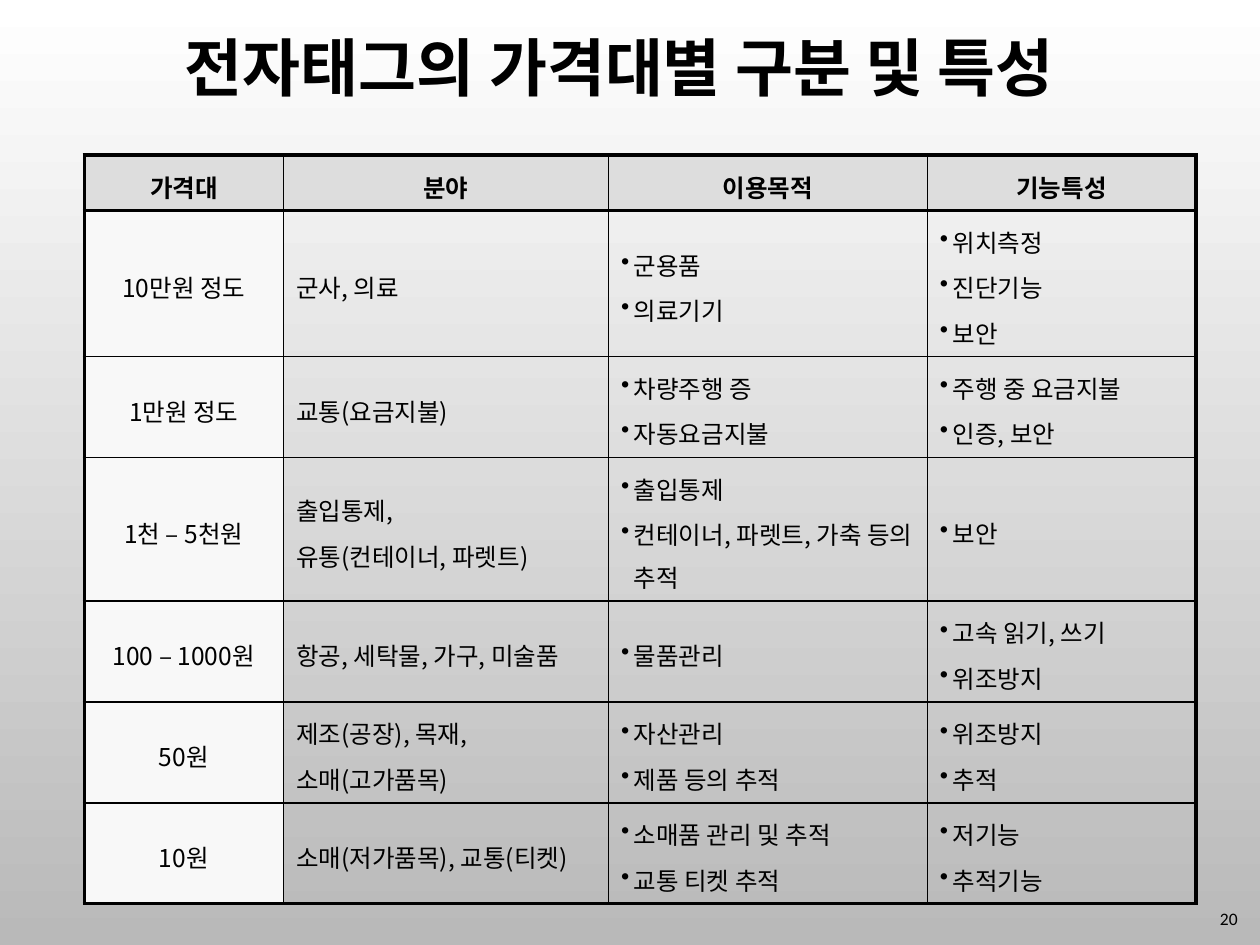
"""Build a slide that classifies electronic tags by price range."""
import pptx
import pptx.dml.color
import pptx.enum.text
import pptx.oxml
import pptx.oxml.ns
import pptx.util

Pt = pptx.util.Pt
ALIGN = pptx.enum.text.PP_ALIGN
MIDDLE = pptx.enum.text.MSO_ANCHOR.MIDDLE
NAMESPACE = pptx.oxml.ns.nsdecls("a")
KOREAN_FONT = "Noto Sans CJK KR"
THIN, THICK = 1, 2.25

COLUMN_WIDTHS = [113.8, 185.8, 182.2, 153.4]
ROW_HEIGHTS = [31.7, 83.4, 57.7, 82, 57.7, 57.7, 57.7]
ROWS = [
    ["가격대", "분야", "이용목적", "기능특성"],
    ["10만원 정도", "군사, 의료", "군용품\n의료기기", "위치측정\n진단기능\n보안"],
    ["1만원 정도", "교통(요금지불)", "차량주행 증\n자동요금지불", "주행 중 요금지불\n인증, 보안"],
    ["1천 – 5천원", "출입통제,\n유통(컨테이너, 파렛트)",
     "출입통제\n컨테이너, 파렛트, 가축 등의 추적", "보안"],
    ["100 – 1000원", "항공, 세탁물, 가구, 미술품", "물품관리", "고속 읽기, 쓰기\n위조방지"],
    ["50원", "제조(공장), 목재,\n소매(고가품목)", "자산관리\n제품 등의 추적", "위조방지\n추적"],
    ["10원", "소매(저가품목), 교통(티켓)", "소매품 관리 및 추적\n교통 티켓 추적", "저기능\n추적기능"],
]


def color(hex_string):
    """Return the colour for a hex string."""
    return pptx.dml.color.RGBColor.from_string(hex_string)


def format_runs(para, font_name, size, bold=False):
    """Set the font of every run in a paragraph."""
    for span in para.runs:
        span.font.name = font_name
        span.font.size = Pt(size)
        span.font.bold = bold
        span.font.color.rgb = color("000000")
        span.font._element.get_or_add_latin().addnext(
            pptx.oxml.parse_xml(f'<a:ea {NAMESPACE} typeface="{KOREAN_FONT}"/>'))


def paint_background(page, top, bottom):
    """Fill the page with a vertical gradient."""
    fill = page.background.fill
    fill.gradient()
    fill.gradient_angle = 270
    for stop, hex_string in zip(fill.gradient_stops, (top, bottom)):
        stop.color.rgb = color(hex_string)


def add_text(page, text, left, top, width, height, align, size, bold=False):
    """Add a one-paragraph text box and return its paragraph."""
    box = page.shapes.add_textbox(Pt(left), Pt(top), Pt(width), Pt(height))
    frame = box.text_frame
    frame.word_wrap = True
    frame.vertical_anchor = MIDDLE
    frame.text = text
    para = frame.paragraphs[0]
    para.alignment = align
    format_runs(para, "Calibri", size, bold)
    return para


def add_bullet(para):
    """Give a paragraph a hanging round bullet."""
    properties = para._p.get_or_add_pPr()
    properties.set("marL", str(Pt(7.2)))
    properties.set("indent", str(-Pt(7.2)))
    for content in ('<a:buClr {}><a:srgbClr val="000000"/></a:buClr>', '<a:buChar {} char="•"/>'):
        properties.append(pptx.oxml.parse_xml(content.format(NAMESPACE)))


def add_tab(para):
    """Add the left tab stop of the table text."""
    para._p.get_or_add_pPr().append(pptx.oxml.parse_xml(
        f'<a:tabLst {NAMESPACE}><a:tab pos="{Pt(15.1)}" algn="l"/></a:tabLst>'))


def set_borders(cell, widths):
    """Draw the left, right, top and bottom borders of a cell."""
    properties = cell._tc.get_or_add_tcPr()
    for index, (side, width) in enumerate(zip("LRTB", widths)):
        properties.insert(index, pptx.oxml.parse_xml(
            f'<a:ln{side} {NAMESPACE} w="{Pt(width)}"><a:solidFill>'
            f'<a:srgbClr val="000000"/></a:solidFill></a:ln{side}>'))


def fill_cell(cell, text, row, column):
    """Write and style one cell according to its place in the table."""
    header = row == 0
    cell.text = text
    cell.vertical_anchor = MIDDLE
    for index, para in enumerate(cell.text_frame.paragraphs):
        if not header and column >= 2:
            add_bullet(para)
        add_tab(para)
        para.alignment = ALIGN.CENTER if header or column == 0 else ALIGN.LEFT
        para.line_spacing = 1.2
        if index:
            para.space_before = Pt(1.4)
        format_runs(para, KOREAN_FONT, 14, header)
    if header or column == 0:
        cell.fill.solid()
        cell.fill.fore_color.rgb = color("DDDDDD" if header else "F8F8F8")
    else:
        cell.fill.background()
    thick_sides = (column == 0, column == len(COLUMN_WIDTHS) - 1,
                   row <= 1, row in (0, len(ROWS) - 1))
    set_borders(cell, [THICK if thick else THIN for thick in thick_sides])


def add_price_table(page, left, top):
    """Add the table of price ranges."""
    frame = page.shapes.add_table(len(ROWS), len(COLUMN_WIDTHS), Pt(left), Pt(top),
                                  Pt(sum(COLUMN_WIDTHS)), Pt(sum(ROW_HEIGHTS)))
    table = frame.table
    table.first_row = False
    table.horz_banding = False
    for column, width in zip(table.columns, COLUMN_WIDTHS):
        column.width = Pt(width)
    for row, (height, texts) in enumerate(zip(ROW_HEIGHTS, ROWS)):
        table.rows[row].height = Pt(height)
        for column, text in enumerate(texts):
            fill_cell(table.cell(row, column), text, row, column)


def main():
    """Build and save the deck."""
    deck = pptx.Presentation()
    deck.slide_width, deck.slide_height = Pt(720), Pt(540)
    page = deck.slides.add_slide(deck.slide_layouts[6])
    paint_background(page, "FFFFFF", "B9B9B9")
    title = add_text(page, "전자태그의 가격대별 구분 및 특성", 25.2, 8.6, 657.4, 64.1,
                     ALIGN.CENTER, 36, bold=True)
    title.line_spacing = 0.9
    add_text(page, "20", 668.9, 510.5, 45.4, 28.8, ALIGN.RIGHT, 10)
    add_price_table(page, 48.2, 88.6)
    deck.save("out.pptx")


if __name__ == "__main__":
    main()
